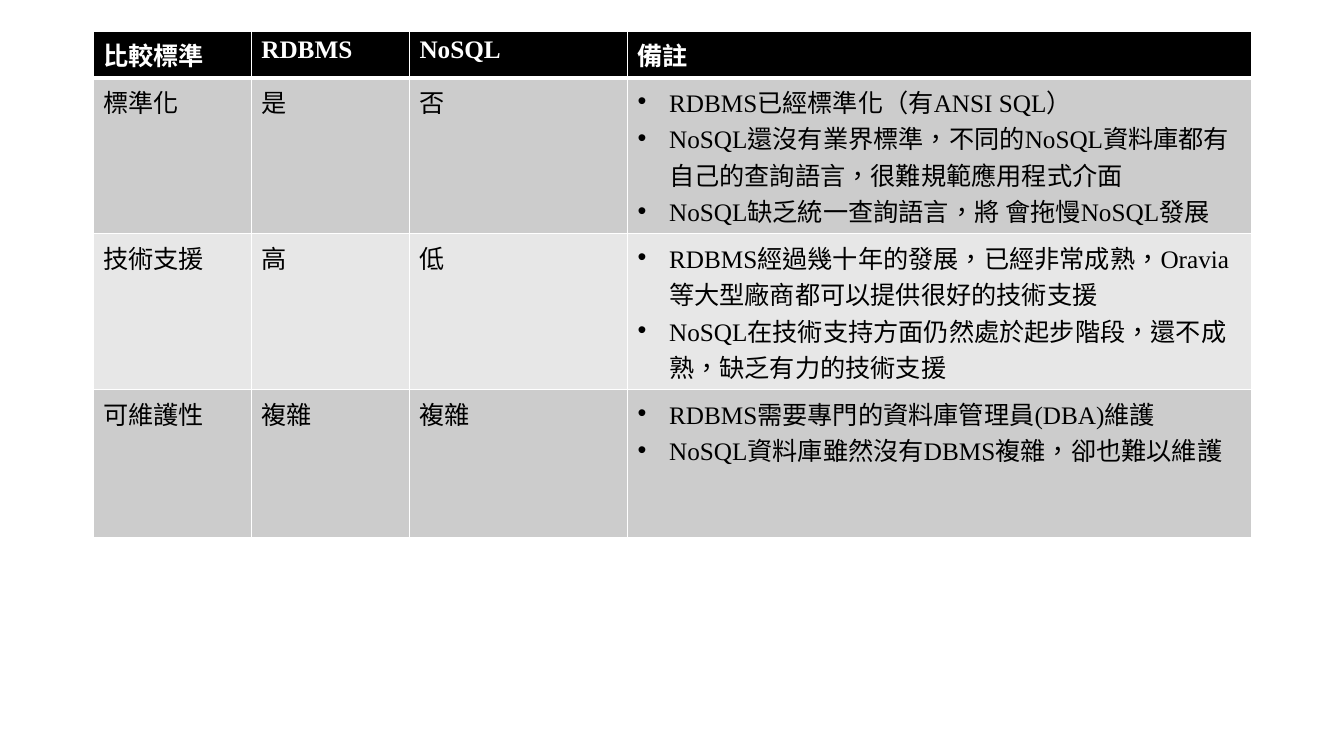
from dataclasses import dataclass

from lxml.etree import SubElement
from pptx import Presentation
from pptx.dml.color import RGBColor as Rgb
from pptx.enum.lang import MSO_LANGUAGE_ID as Lang
from pptx.oxml.ns import qn
from pptx.util import Pt


@dataclass(frozen=True)
class Theme:
    """Colours, type and line sizes of the slide."""
    font: str = "Times New Roman"
    size: float = 18
    header: str = "000000"
    bands: tuple = ("CCCCCC", "E7E7E7")
    light: str = "FFFFFF"
    dark: str = "000000"
    thin: float = 1
    thick: float = 3
    indent: float = 22.5


THEME = Theme()
COLUMN_WIDTHS = (113, 113, 155.8, 445.7)
ROW_HEIGHTS = (33.2, 83.5, 105.8, 105.8)
HEADINGS = ("比較標準", "RDBMS", "NoSQL", "備註")
CRITERIA = (
    ("標準化", "是", "否", (
        "RDBMS已經標準化（有ANSI SQL）",
        "NoSQL還沒有業界標準，不同的NoSQL資料庫都有 自己的查詢語言，很難規範應用程式介面",
        "NoSQL缺乏統一查詢語言，將 會拖慢NoSQL發展",
    )),
    ("技術支援", "高", "低", (
        "RDBMS經過幾十年的發展，已經非常成熟，Oravia 等大型廠商都可以提供很好的技術支援",
        "NoSQL在技術支持方面仍然處於起步階段，還不成 熟，缺乏有力的技術支援",
    )),
    ("可維護性", "複雜", "複雜", (
        "RDBMS需要專門的資料庫管理員(DBA)維護",
        "NoSQL資料庫雖然沒有DBMS複雜，卻也難以維護",
    )),
)


def add_bullet(paragraph):
    """Give a paragraph a round bullet with a hanging indent."""
    properties = paragraph._p.get_or_add_pPr()
    properties.set("marL", str(Pt(THEME.indent)))
    properties.set("indent", str(-Pt(THEME.indent)))
    SubElement(properties, qn("a:buFont"), typeface="Arial")
    SubElement(properties, qn("a:buChar"), char="•")


def write_text(paragraph, text, color=THEME.dark, bold=False, bullet=False):
    """Write formatted text into a paragraph."""
    if bullet:
        add_bullet(paragraph)
    run = paragraph.add_run()
    run.text = text
    run.font.name = THEME.font
    run.font.size = Pt(THEME.size)
    run.font.bold = bold
    run.font.color.rgb = Rgb.from_string(color)
    run.font.language_id = Lang.TRADITIONAL_CHINESE


def draw_borders(cell, top, bottom):
    """Draw light borders around a cell."""
    properties = cell._tc.get_or_add_tcPr()
    widths = {"L": THEME.thin, "R": THEME.thin, "T": top, "B": bottom}
    for side, width in widths.items():
        line = SubElement(properties, qn(f"a:ln{side}"), w=str(Pt(width)))
        paint = SubElement(line, qn("a:solidFill"))
        SubElement(paint, qn("a:srgbClr"), val=THEME.light)


def fill_cell(cell, content, fill, top=THEME.thin, bottom=THEME.thin, **text_format):
    """Style a cell and write one text or a list of bullets into it."""
    draw_borders(cell, top, bottom)
    cell.fill.solid()
    cell.fill.fore_color.rgb = Rgb.from_string(fill)
    is_list = isinstance(content, tuple)
    for index, text in enumerate(content if is_list else (content,)):
        frame = cell.text_frame
        paragraph = frame.add_paragraph() if index else frame.paragraphs[0]
        write_text(paragraph, text, bullet=is_list, **text_format)


def add_comparison(slide):
    """Add the table that compares RDBMS with NoSQL."""
    comparison = slide.shapes.add_table(
        len(ROW_HEIGHTS), len(COLUMN_WIDTHS), Pt(66.5), Pt(22.3),
        Pt(sum(COLUMN_WIDTHS)), Pt(sum(ROW_HEIGHTS))).table
    for column, width in zip(comparison.columns, COLUMN_WIDTHS):
        column.width = Pt(width)
    for row, height in zip(comparison.rows, ROW_HEIGHTS):
        row.height = Pt(height)
    for column, heading in enumerate(HEADINGS):
        fill_cell(comparison.cell(0, column), heading, THEME.header,
                  bottom=THEME.thick, color=THEME.light, bold=True)
    for row, criterion in enumerate(CRITERIA, 1):
        band = THEME.bands[(row - 1) % 2]
        top = THEME.thick if row == 1 else THEME.thin
        for column, content in enumerate(criterion):
            fill_cell(comparison.cell(row, column), content, band, top=top)


def main():
    """Build and save the slide."""
    deck = Presentation()
    deck.slide_width, deck.slide_height = Pt(960), Pt(540)
    add_comparison(deck.slides.add_slide(deck.slide_layouts[6]))
    deck.save("out.pptx")


if __name__ == "__main__":
    main()
